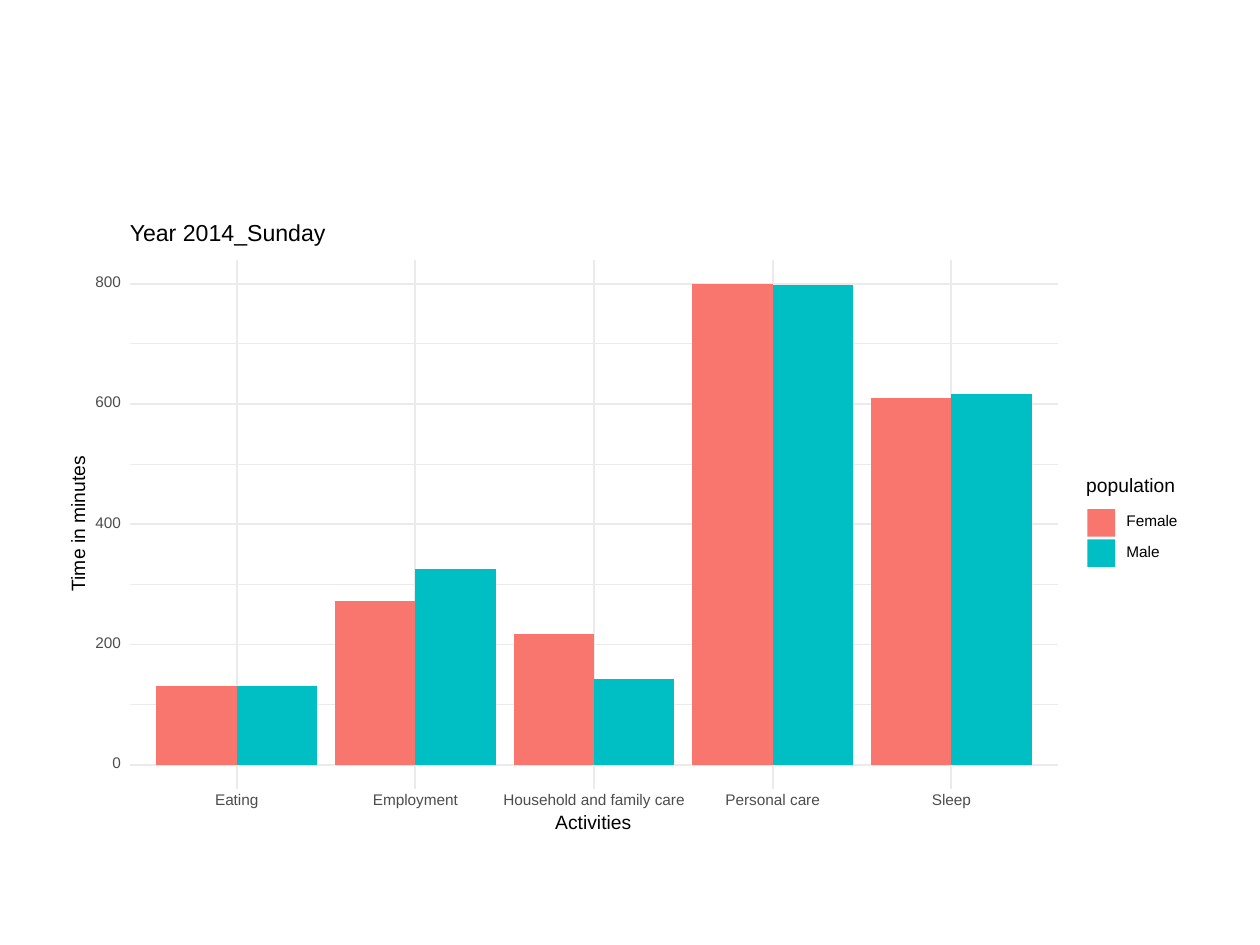
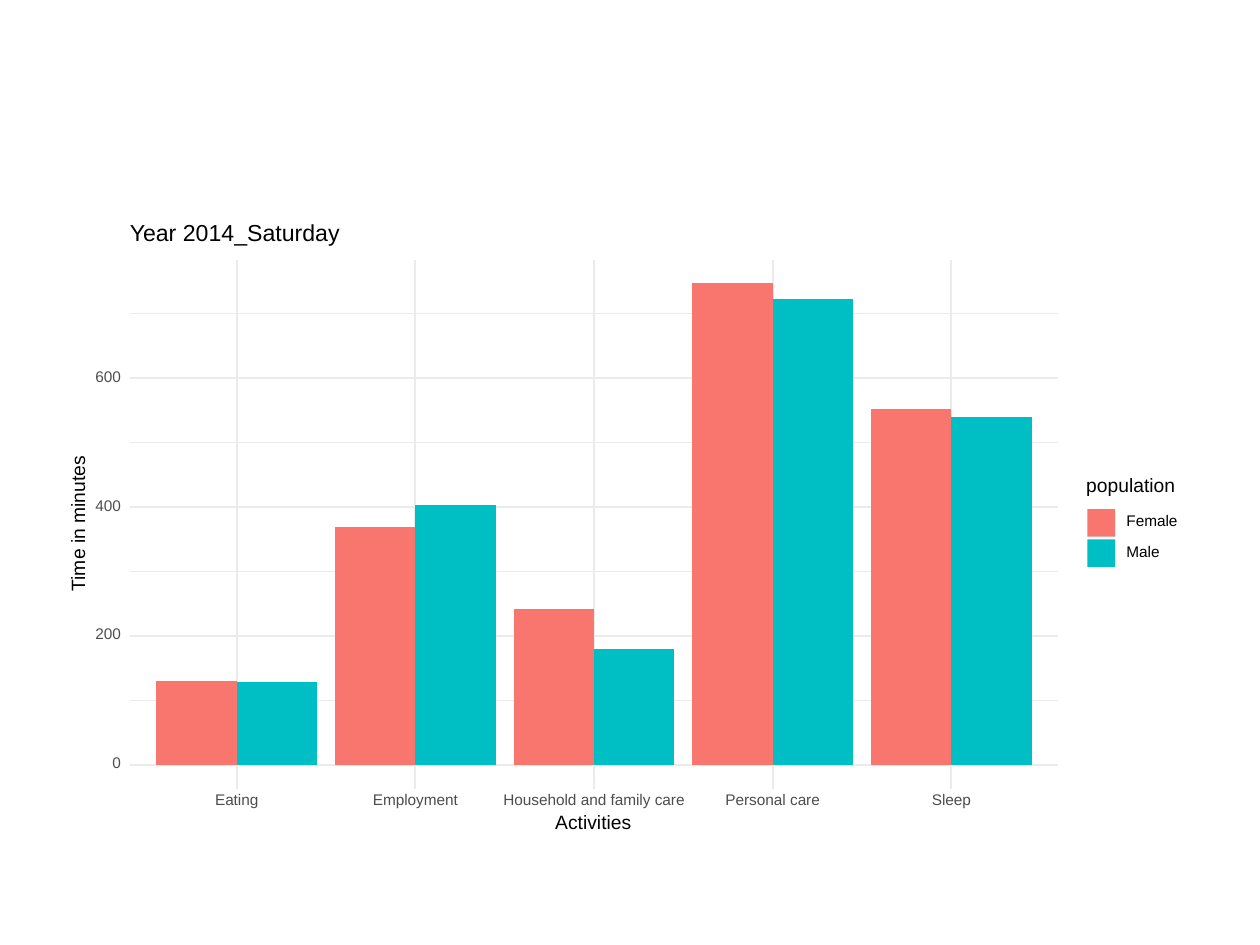
"""Build two slides of clustered column charts on time use by activity."""
from lxml.etree import SubElement
from pptx import Presentation
from pptx.chart.data import CategoryChartData
from pptx.dml.color import RGBColor
from pptx.enum.chart import XL_CHART_TYPE, XL_TICK_LABEL_POSITION, XL_TICK_MARK
from pptx.enum.shapes import MSO_CONNECTOR, MSO_SHAPE
from pptx.enum.text import MSO_ANCHOR, MSO_AUTO_SIZE, PP_ALIGN
from pptx.oxml import parse_xml
from pptx.oxml.ns import nsdecls, qn
from pptx.util import Inches, Pt

DAYS = [
    ("Year 2014_Sunday", 1.57,
     {"Female": (131, 272, 218, 800, 609), "Male": (131, 325, 143, 797, 616)}),
    ("Year 2014_Saturday", 1.68,
     {"Female": (130, 369, 241, 747, 552), "Male": (128, 403, 179, 722, 540)}),
]
TASKS = [("Eating", 0.35), ("Employment", 0.68), ("Household and family care", 1.45),
         ("Personal care", 0.75), ("Sleep", 0.31)]
KEYS = [("Female", 0.41), ("Male", 0.26)]
COLORS = {"Female": "F8766D", "Male": "00BFC4", "grid": "EBEBEB",
          "tick": "4D4D4D", "text": "000000"}
FONT = "Arial"
SMALL, MEDIUM, LARGE = 8.8, 11, 13.2
LEFT, WIDTH, TOP, BASE = 1.17, 7.09, 2.06, 6.07
GRID_LEFT, GRID_RIGHT, GRID_FOOT = 1.03, 8.4, 6.26
PITCH = WIDTH / len(TASKS)


def color(name):
    return RGBColor.from_string(COLORS[name])


def style(shape, text, size, tone="text", align=PP_ALIGN.LEFT):
    frame = shape.text_frame
    frame.text = text
    frame.auto_size = MSO_AUTO_SIZE.NONE
    frame.word_wrap = False
    frame.vertical_anchor = MSO_ANCHOR.MIDDLE
    frame.margin_left = frame.margin_right = frame.margin_top = frame.margin_bottom = 0
    line = frame.paragraphs[0]
    line.alignment = align
    line.line_spacing = Pt(size)
    line.space_before = Pt(0)
    font = line.runs[0].font
    font.name, font.size = FONT, Pt(size)
    font.color.rgb = color(tone)


def label(slide, at, text, size, tone="text", align=PP_ALIGN.LEFT):
    box = slide.shapes.add_textbox(*map(Inches, at))
    style(box, text, size, tone, align)
    return box


def rule(slide, ends, weight):
    line = slide.shapes.add_connector(MSO_CONNECTOR.STRAIGHT, *map(Inches, ends))
    line.line.color.rgb = color("grid")
    line.line.width = Pt(weight)
    SubElement(line._element.spPr, qn("a:effectLst"))


def middle(index):
    return LEFT + PITCH * (index + 0.5)


def add_grid(slide, limit):
    def level(value):
        return BASE - (BASE - TOP) * value / limit

    for start, weight in ((100, 0.53), (0, 1.07)):
        for value in range(start, int(limit), 200):
            y = level(value)
            rule(slide, (GRID_LEFT, y, GRID_RIGHT, y), weight)
            if start == 0:
                width = 0.07 * len(str(value))
                label(slide, (0.96 - width, y - 0.05, width, 0.09), str(value),
                      SMALL, "tick", PP_ALIGN.RIGHT)
    for index, (task, width) in enumerate(TASKS):
        x = middle(index)
        rule(slide, (x, GRID_FOOT, x, TOP), 1.07)
        label(slide, (x - width / 2, 6.3, width, 0.11), task,
              SMALL, "tick", PP_ALIGN.CENTER)


def add_bars(slide, series, limit):
    data = CategoryChartData()
    data.categories = [task for task, _ in TASKS]
    for name, values in series.items():
        data.add_series(name, values)
    chart = slide.shapes.add_chart(
        XL_CHART_TYPE.COLUMN_CLUSTERED,
        *map(Inches, (LEFT, TOP, WIDTH, BASE - TOP)), data).chart
    chart.has_title = chart.has_legend = False
    chart.font.name, chart.font.size = FONT, Pt(SMALL)
    chart.value_axis.minimum_scale = 0
    chart.value_axis.maximum_scale = limit
    chart.value_axis.major_unit = 200
    for axis in (chart.category_axis, chart.value_axis):
        axis.has_major_gridlines = False
        axis.major_tick_mark = XL_TICK_MARK.NONE
        axis.tick_label_position = XL_TICK_LABEL_POSITION.NONE
        axis.format.line.fill.background()
    plot = chart.plots[0]
    plot.gap_width, plot.overlap, plot.vary_by_categories = 22, 0, False
    for bars in plot.series:
        bars.format.fill.solid()
        bars.format.fill.fore_color.rgb = color(bars.name)
    fit_plot(chart)


def fit_plot(chart):
    """Fill the whole frame with the plot and leave its ground clear."""
    root = chart._chartSpace
    area = root.chart.plotArea
    for old in area.findall(qn("c:layout")):
        area.remove(old)
    places = "".join(f'<c:{tag} val="{value}"/>' for tag, value in (
        ("layoutTarget", "inner"), ("xMode", "edge"), ("yMode", "edge"),
        ("x", 0), ("y", 0), ("w", 1), ("h", 1)))
    area.insert(0, parse_xml(f'<c:layout {nsdecls("c")}><c:manualLayout>{places}'
                             '</c:manualLayout></c:layout>'))
    clear = (f'<c:spPr {nsdecls("c", "a")}><a:noFill/>'
             '<a:ln><a:noFill/></a:ln></c:spPr>')
    area.append(parse_xml(clear))
    root.chart.addnext(parse_xml(clear))


def add_key(slide):
    label(slide, (8.62, 3.79, 0.71, 0.14), "population", MEDIUM)
    for index, (name, width) in enumerate(KEYS):
        y = 4.04 + 0.24 * index
        swatch = slide.shapes.add_shape(
            MSO_SHAPE.RECTANGLE, *map(Inches, (8.63, y, 0.22, 0.22)))
        swatch.shadow.inherit = False
        swatch.fill.solid()
        swatch.fill.fore_color.rgb = color(name)
        swatch.line.fill.background()
        label(slide, (8.94, y + 0.06, width, 0.09), name, SMALL)


def add_day(deck, title, width, series):
    slide = deck.slides.add_slide(deck.slide_layouts[5])
    head = slide.shapes.title
    head.left, head.top, head.width, head.height = map(
        Inches, (GRID_LEFT, 1.78, width, 0.17))
    style(head, title, LARGE)
    limit = round(1.05 * max(map(max, series.values())))
    add_grid(slide, limit)
    add_bars(slide, series, limit)
    label(slide, (4.41, 6.48, 0.6, 0.11), "Activities", MEDIUM, align=PP_ALIGN.CENTER)
    side = label(slide, (0.09, 4.1, 1.08, 0.11), "Time in minutes", MEDIUM,
                 align=PP_ALIGN.CENTER)
    side.rotation = 270
    add_key(slide)


def main():
    deck = Presentation()
    deck.slide_width, deck.slide_height = Inches(10), Inches(7.5)
    for day in DAYS:
        add_day(deck, *day)
    deck.save("out.pptx")


if __name__ == "__main__":
    main()
